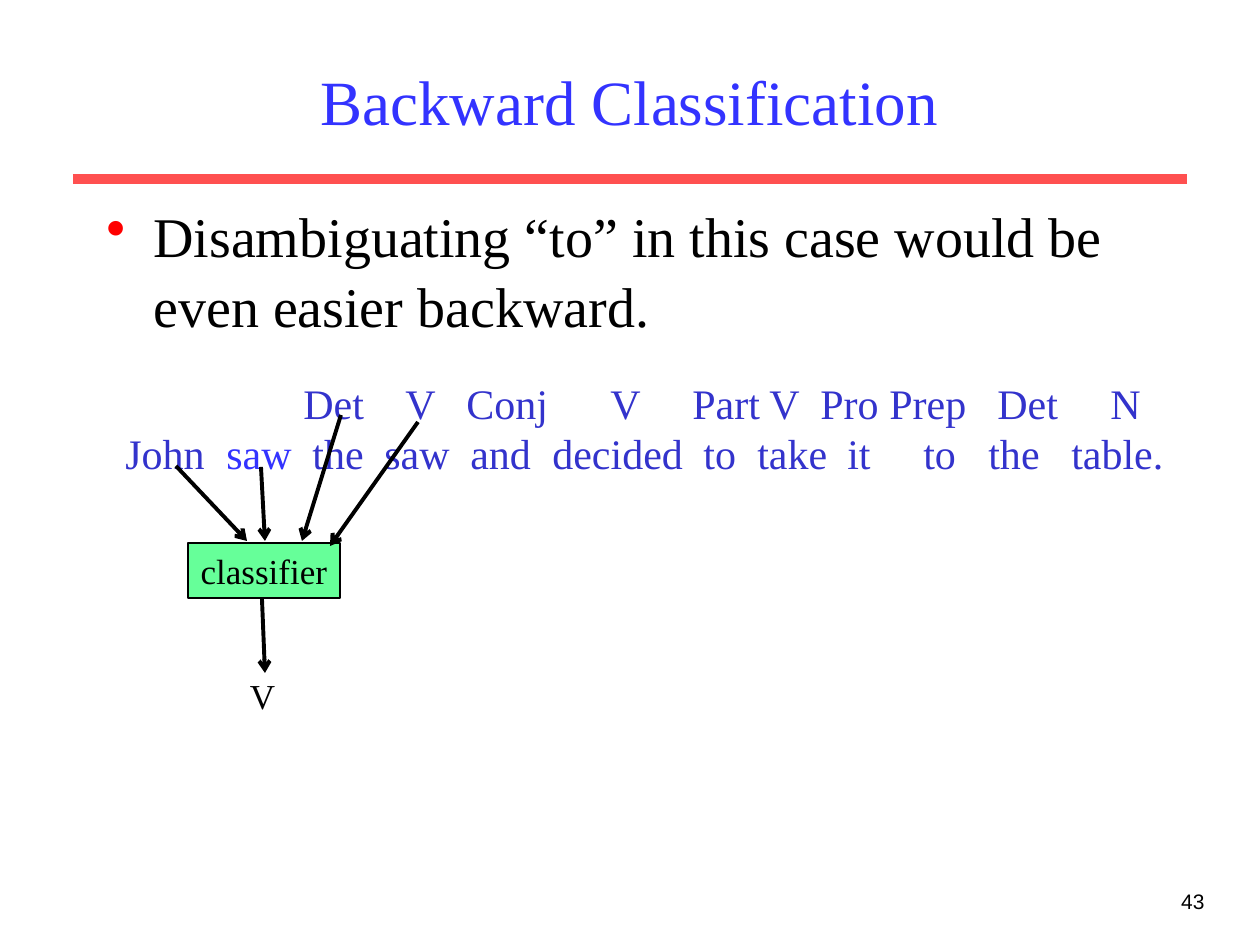
from lxml import etree
from pptx import Presentation
from pptx.dml.color import RGBColor
from pptx.enum.shapes import MSO_CONNECTOR, MSO_SHAPE
from pptx.enum.text import MSO_ANCHOR, PP_ALIGN
from pptx.oxml.ns import qn
from pptx.util import Pt

PX = 914400 // 126
LEFT, MID, RIGHT = PP_ALIGN.LEFT, PP_ALIGN.CENTER, PP_ALIGN.RIGHT
TOP, CENTER = MSO_ANCHOR.TOP, MSO_ANCHOR.MIDDLE
LINE, RECT = MSO_CONNECTOR.STRAIGHT, MSO_SHAPE.RECTANGLE
SERIF, SANS = "Times New Roman", "Arial"
BLACK, BLUE, NAVY = "000000", "3333FF", "3333CC"
PAD = 13

TAGS = [("Det", 304), ("V", 406), ("Conj", 467), ("V", 611), ("Part", 693),
        ("V", 770), ("Pro", 821), ("Prep", 890), ("Det", 998), ("N", 1111)]
WORDS = [("John", 126), ("saw", 227), ("the", 313), ("saw", 385),
         ("and", 471), ("decided", 553), ("to", 704), ("take", 758),
         ("it", 848), ("to", 924), ("the", 989), ("table.", 1072)]
ARROWS = [(176, 466, 247, 541), (341, 415, 302, 541), (261, 467, 265, 541),
          (262, 599, 265, 673), (418, 422, 330, 546)]


def px(*nums):
    return [n * PX for n in nums]


def color(code):
    return RGBColor.from_string(code)


def style(run, size, code, face=SERIF):
    run.font.size = Pt(size)
    run.font.name = face
    run.font.color.rgb = color(code)


def fill_text(shape, text, size, code=BLACK, face=SERIF, align=LEFT, anchor=TOP):
    frame = shape.text_frame
    frame.word_wrap = True
    frame.vertical_anchor = anchor
    frame.text = text
    para = frame.paragraphs[0]
    para.alignment = align
    style(para.runs[0], size, code, face)
    return frame


def add_text(slide, box, *args, **opts):
    return fill_text(slide.shapes.add_textbox(*px(*box)), *args, **opts)


def add_line(slide, ends, code, width, arrow=False):
    line = slide.shapes.add_connector(LINE, *px(*ends))
    line.line.color.rgb = color(code)
    line.line.width = Pt(width)
    if arrow:
        etree.SubElement(line.line._get_or_add_ln(), qn("a:tailEnd"), type="arrow")
    etree.SubElement(line._element.spPr, qn("a:effectLst"))


def add_bullet(slide, box, text):
    frame = add_text(slide, box, text, 32)
    frame.margin_top = 10 * PX
    para = frame.paragraphs[0]
    para.line_spacing = 1.04
    props = para._p.get_or_add_pPr()
    props.set("marL", str(47 * PX))
    props.set("indent", str(-47 * PX))
    tint = etree.SubElement(props, qn("a:buClr"))
    etree.SubElement(tint, qn("a:srgbClr"), val="FF0000")
    etree.SubElement(props, qn("a:buChar"), char="•")


def set_row(para, items, start):
    stops = etree.SubElement(para._p.get_or_add_pPr(), qn("a:tabLst"))
    for word, left in items:
        gap = left - start
        if gap:
            etree.SubElement(stops, qn("a:tab"), pos=str(gap * PX), algn="l")
        run = para.add_run()
        run.text = "\t" + word if gap else word
        style(run, 24, NAVY)


def add_words(slide, box):
    frame = slide.shapes.add_textbox(*px(*box)).text_frame
    frame.word_wrap = True
    start = box[0] + PAD
    set_row(frame.paragraphs[0], TAGS, start)
    words = frame.add_paragraph()
    set_row(words, WORDS, start)
    words.runs[1].font.color.rgb = color(BLUE)


def add_box(slide, box, text):
    shape = slide.shapes.add_shape(RECT, *px(*box))
    shape.shadow.inherit = False
    shape.fill.solid()
    shape.fill.fore_color.rgb = color("66FF99")
    shape.line.color.rgb = color(BLACK)
    shape.line.width = Pt(1)
    fill_text(shape, text, 20, align=MID, anchor=CENTER)


def main():
    deck = Presentation()
    deck.slide_width, deck.slide_height = px(1260, 945)
    slide = deck.slides.add_slide(deck.slide_layouts[6])
    add_line(slide, (73, 179, 1187, 179), "FF5050", 6)
    add_text(slide, (955, 882, 262, 63), "43", 12, face=SANS, align=RIGHT)
    add_text(slide, (94, 32, 1071, 136), "Backward Classification", 36, BLUE,
             align=MID, anchor=CENTER)
    add_bullet(slide, (94, 189, 1071, 646),
               "Disambiguating “to” in this case would be even easier backward.")
    add_words(slide, (113, 371, 1075, 113))
    add_box(slide, (188, 543, 152, 55), "classifier")
    add_text(slide, (214, 668, 97, 55), "V", 20, align=MID)
    for ends in ARROWS:
        add_line(slide, ends, BLACK, 2.25, True)
    deck.save("out.pptx")


if __name__ == "__main__":
    main()
